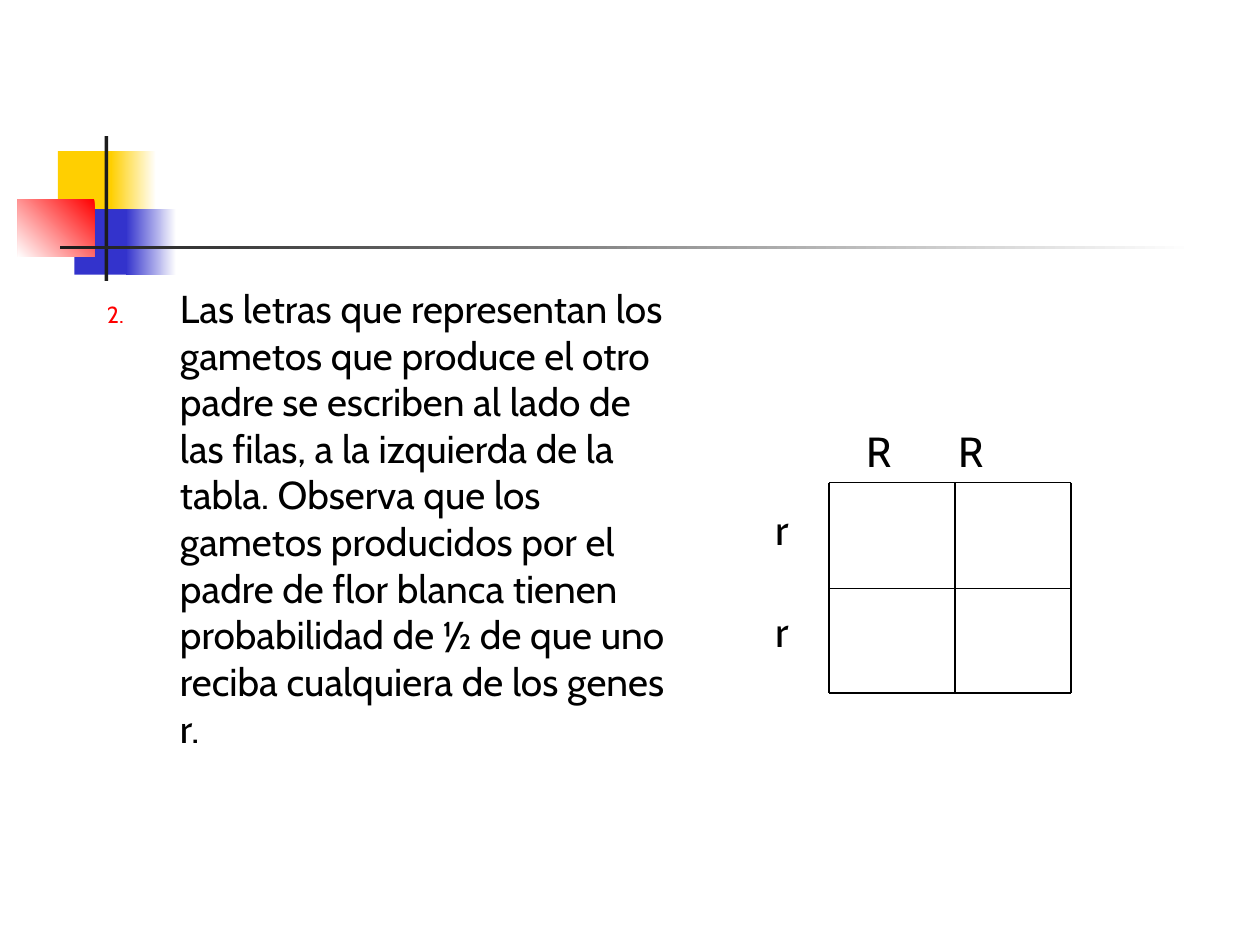
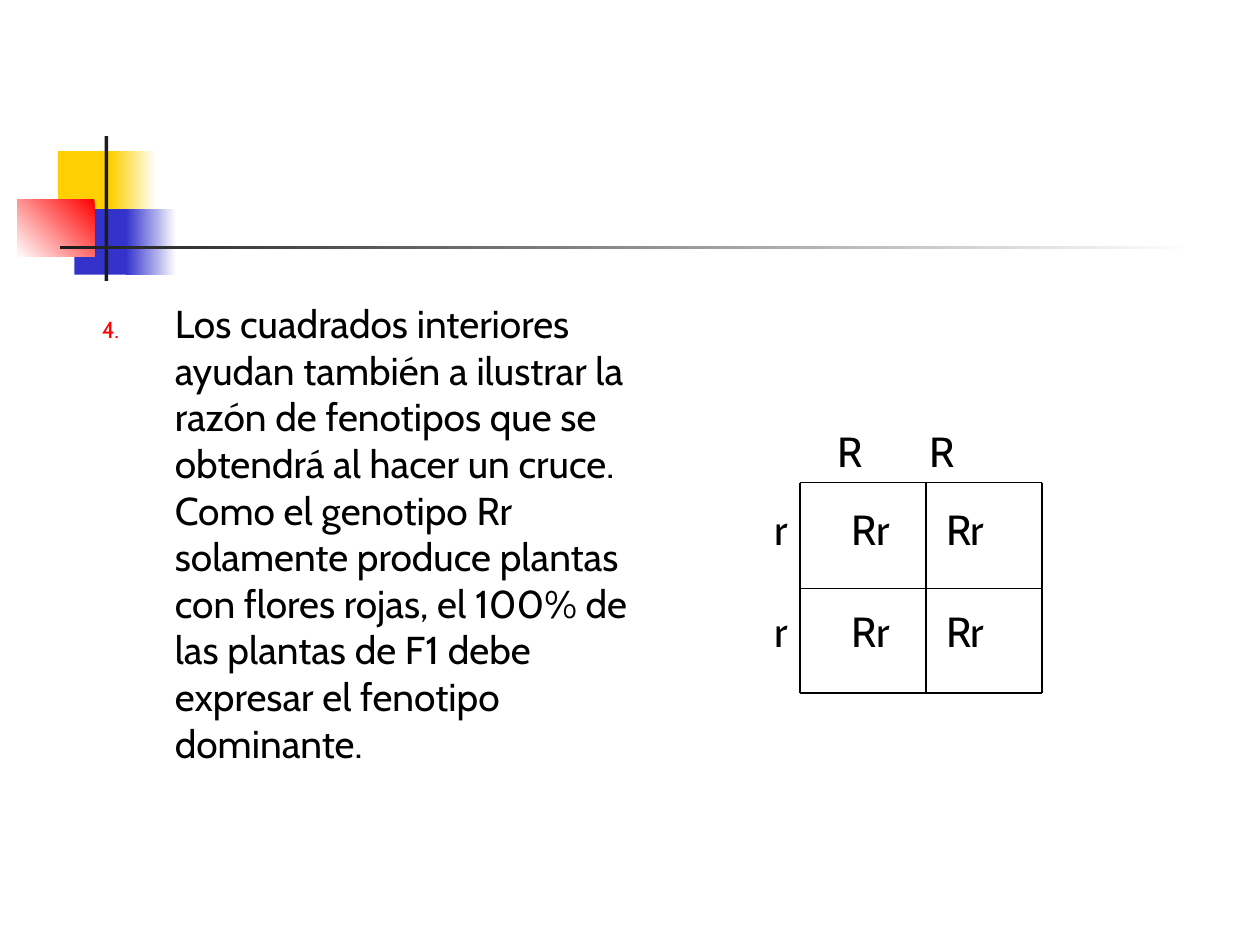
from typing import NamedTuple, Optional

from lxml import etree
from pptx import Presentation
from pptx import util as u
from pptx.dml.color import RGBColor
from pptx.enum import shapes, text
from pptx.oxml import ns

EMU_PER_PX = 9144
FONT = "Cabin"
COLORS = {
    "white": "FFFFFF",
    "black": "000000",
    "yellow": "FFCF01",
    "blue": "3333CC",
    "red": "FF0000",
    "bar": "1C1C1C",
}


class Block(NamedTuple):
    left: int
    top: int
    width: int
    height: int
    color: str
    end_color: Optional[str] = None
    angle: int = 180


class Box(NamedTuple):
    left: int
    top: int
    width: int
    height: int


class PunnettSlide(NamedTuple):
    number: int
    explanation: str
    body: Box
    grid_left: int
    rows_box: Box
    rows: list[str]


ORNAMENT = [
    Block(46, 120, 48, 52, "yellow"),
    Block(88, 120, 36, 52, "white", "yellow"),
    Block(59, 166, 46, 52, "blue"),
    Block(100, 166, 40, 52, "white", "blue"),
    Block(14, 158, 61, 46, "red", "white", 225),
    Block(83, 108, 3, 115, "bar"),
    Block(48, 195, 900, 3, "white", "bar"),
]

GRID_TOP = 383
COLUMN_EDGES = [0, 100, 192]
ROW_EDGES = [0, 84, 167]
HEADER_TABS = [28, 101]
ROW_TABS = [61, 136]

SLIDES = [
    PunnettSlide(
        2,
        "Las letras que representan los gametos que produce el otro padre se "
        "escriben al lado de las filas, a la izquierda de la tabla. Observa que "
        "los gametos producidos por el padre de flor blanca tienen probabilidad "
        "de ½ de que uno reciba cualquiera de los genes r.",
        Box(75, 221, 471, 450),
        658,
        Box(606, 395, 34, 130),
        ["r", "r"],
    ),
    PunnettSlide(
        4,
        "Los cuadrados interiores ayudan también a ilustrar la razón de fenotipos "
        "que se obtendrá al hacer un cruce. Como el genotipo Rr solamente produce "
        "plantas con flores rojas, el 100% de las plantas de F1 debe expresar el "
        "fenotipo dominante.",
        Box(71, 233, 454, 450),
        635,
        Box(605, 395, 228, 130),
        ["r\tRr\tRr"] * 2,
    ),
]


def px(length: int) -> u.Emu:
    return u.Emu(length * EMU_PER_PX)


def rgb(name: str) -> RGBColor:
    return RGBColor.from_string(COLORS[name])


def add_child(parent, tag: str, **attributes):
    return etree.SubElement(parent, ns.qn(tag), **attributes)


def draw_block(slide, block: Block) -> None:
    shape = slide.shapes.add_shape(
        shapes.MSO_SHAPE.RECTANGLE, *(px(length) for length in block[:4])
    )
    shape.shadow.inherit = False
    shape.line.fill.background()
    if block.end_color is None:
        shape.fill.solid()
        shape.fill.fore_color.rgb = rgb(block.color)
        return
    shape.fill.gradient()
    shape.fill.gradient_angle = block.angle
    for stop, color in zip(shape.fill.gradient_stops, (block.color, block.end_color)):
        stop.color.rgb = rgb(color)


def add_text(slide, box: Box, lines: list[str], *, size: float = 24,
             first_space: float = 0, line_space: float = 0,
             tabs: Optional[list[int]] = None, number: Optional[int] = None) -> None:
    shape = slide.shapes.add_textbox(*(px(length) for length in box))
    frame = shape.text_frame
    frame.word_wrap = True
    frame.vertical_anchor = text.MSO_ANCHOR.TOP
    for index, line in enumerate(lines):
        paragraph = frame.add_paragraph() if index else frame.paragraphs[0]
        paragraph.space_before = u.Pt(line_space if index else first_space)
        run = paragraph.add_run()
        run.text = line
        run.font.name = FONT
        run.font.size = u.Pt(size)
        run.font.color.rgb = rgb("black")
        if number is not None:
            number_paragraph(paragraph, number)
        if tabs:
            tab_list = add_child(paragraph._p.get_or_add_pPr(), "a:tabLst")
            for position in tabs:
                add_child(tab_list, "a:tab", pos=str(px(position)), algn="l")


def number_paragraph(paragraph, number: int) -> None:
    properties = paragraph._p.get_or_add_pPr()
    properties.set("marL", str(px(58)))
    properties.set("indent", str(px(-58)))
    add_child(add_child(properties, "a:buClr"), "a:srgbClr", val=COLORS["red"])
    add_child(properties, "a:buSzPct", val="60000")
    add_child(properties, "a:buFont", typeface=FONT)
    add_child(properties, "a:buAutoNum", type="arabicPeriod", startAt=str(number))


def draw_line(slide, left: int, top: int, right: int, bottom: int) -> None:
    connector = slide.shapes.add_connector(
        shapes.MSO_CONNECTOR.STRAIGHT, px(left), px(top), px(right), px(bottom)
    )
    connector.line.color.rgb = rgb("black")
    connector.line.width = u.Pt(0.75)
    add_child(connector._element.spPr, "a:effectLst")


def draw_grid(slide, left: int) -> None:
    for edge in COLUMN_EDGES:
        draw_line(slide, left + edge, GRID_TOP, left + edge, GRID_TOP + ROW_EDGES[-1])
    for edge in ROW_EDGES:
        draw_line(slide, left, GRID_TOP + edge, left + COLUMN_EDGES[-1], GRID_TOP + edge)


def build_slide(presentation, content: PunnettSlide) -> None:
    slide = presentation.slides.add_slide(presentation.slide_layouts[6])
    for block in ORNAMENT:
        draw_block(slide, block)
    add_text(slide, content.body, [content.explanation], size=22.2,
             first_space=6, number=content.number)
    header = Box(content.grid_left - 8, GRID_TOP - 50, 208, 50)
    add_text(slide, header, ["\tR\tR"], first_space=15, tabs=HEADER_TABS)
    draw_grid(slide, content.grid_left)
    add_text(slide, content.rows_box, content.rows, line_space=29, tabs=ROW_TABS)


def main() -> None:
    presentation = Presentation()
    presentation.slide_width = px(1000)
    presentation.slide_height = px(750)
    for content in SLIDES:
        build_slide(presentation, content)
    presentation.save("out.pptx")


if __name__ == "__main__":
    main()
